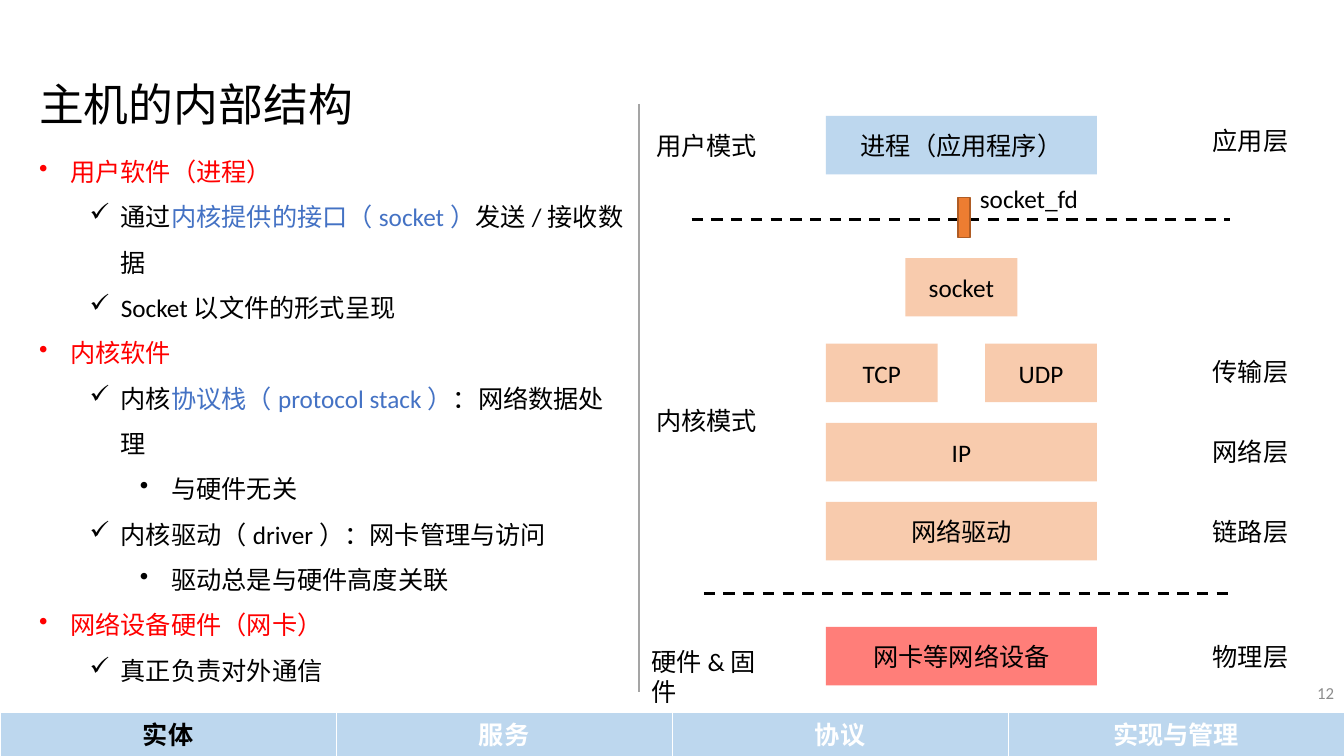
"""Build the slide on the internal structure of a host."""
from dataclasses import dataclass
from typing import Optional

from lxml import etree
from pptx import Presentation
from pptx.dml.color import RGBColor
from pptx.enum.dml import MSO_LINE
from pptx.enum.shapes import MSO_CONNECTOR, MSO_SHAPE
from pptx.enum.text import MSO_ANCHOR, MSO_AUTO_SIZE, PP_ALIGN
from pptx.oxml.ns import qn
from pptx.util import Inches, Pt

RECT = MSO_SHAPE.RECTANGLE
STRAIGHT = MSO_CONNECTOR.STRAIGHT
DASH = MSO_LINE.DASH
MIDDLE = MSO_ANCHOR.MIDDLE
GROW = MSO_AUTO_SIZE.SHAPE_TO_FIT_TEXT
LEFT, CENTER, RIGHT = PP_ALIGN.LEFT, PP_ALIGN.CENTER, PP_ALIGN.RIGHT

BLACK = RGBColor(0x00, 0x00, 0x00)
WHITE = RGBColor(0xFF, 0xFF, 0xFF)
RED = RGBColor(0xFF, 0x00, 0x00)
BLUE = RGBColor(0x44, 0x72, 0xC4)
PALE_BLUE = RGBColor(0xBD, 0xD7, 0xEE)
PEACH = RGBColor(0xF8, 0xCB, 0xAD)
CORAL = RGBColor(0xFF, 0x7E, 0x79)
ORANGE = RGBColor(0xED, 0x7D, 0x31)
BROWN = RGBColor(0xAF, 0x5C, 0x24)
GRAY = RGBColor(0xA5, 0xA5, 0xA5)
NUMBER_GRAY = RGBColor(0x8C, 0x8C, 0x8C)

LATIN = "Calibri"
CJK = "Noto Sans CJK SC"
SLIDE_W = 13.33
BOX_H = 0.58
WIDE, NARROW = 2.69, 1.11
STACK_X, STACK_Y, STACK_STEP = 8.19, 3.41, 0.785


@dataclass(frozen=True)
class Box:
    text: str
    x: float
    y: float
    w: float
    fill: RGBColor
    h: float = BOX_H
    line: Optional[RGBColor] = None
    line_pt: float = 0.5
    color: RGBColor = BLACK
    font: str = LATIN
    bold: bool = False


@dataclass(frozen=True)
class Label:
    text: str
    x: float
    y: float
    w: float
    h: float = 0.4
    size: float = 18
    color: RGBColor = BLACK
    font: str = LATIN
    wrap: bool = False
    align: PP_ALIGN = LEFT


@dataclass(frozen=True)
class Rule:
    x1: float
    y1: float
    x2: float
    y2: float
    color: RGBColor = BLACK
    width: float = 2
    dashed: bool = True


@dataclass(frozen=True)
class Bullet:
    level: int
    runs: tuple[tuple[str, RGBColor], ...]


TABS = ("实体", "服务", "协议", "实现与管理")
TAB_W = SLIDE_W / len(TABS)
TAB_BOXES = [
    Box(name, i * TAB_W, 7.07, TAB_W, PALE_BLUE, 0.44, WHITE,
        color=WHITE if i else BLACK, font=CJK, bold=True)
    for i, name in enumerate(TABS)
]
STACK_BOXES = [
    Box("进程（应用程序）", STACK_X, 1.15, WIDE, PALE_BLUE),
    Box("socket", 8.98, 2.56, NARROW, PEACH),
    Box("TCP", STACK_X, STACK_Y, NARROW, PEACH),
    Box("UDP", STACK_X + WIDE - NARROW, STACK_Y, NARROW, PEACH),
    Box("IP", STACK_X, STACK_Y + STACK_STEP, WIDE, PEACH),
    Box("网络驱动", STACK_X, STACK_Y + 2 * STACK_STEP, WIDE, PEACH),
    Box("网卡等网络设备", STACK_X, 6.22, WIDE, CORAL),
]
SOCKET_MARK = Box("", 9.5, 1.96, 0.12, ORANGE, 0.4, BROWN, 1)
RULES = [
    Rule(6.86, 2.18, 12.2, 2.18),
    Rule(6.98, 5.89, 12.2, 5.89),
    Rule(6.34, 1.03, 6.34, 6.87, GRAY, 1.5, False),
]
LAYERS = (("应用层", 1.19), ("传输层", 3.49), ("网络层", 4.28),
          ("链路层", 5.07), ("物理层", 6.31))
LABELS = [
    Label("12", 10.33, 6.67, 3, size=12, color=NUMBER_GRAY, wrap=True, align=RIGHT),
    Label("主机的内部结构", 0.29, 0.71, 4.96, 0.64, 32, font=CJK, wrap=True),
    Label("用户模式", 6.41, 1.24, 1.21),
    Label("内核模式", 6.41, 3.97, 1.21),
    Label("硬件&固件", 6.36, 6.36, 1.38, wrap=True),
    Label("socket_fd", 9.62, 1.77, 1.19),
    *(Label(name, 11.93, y, 0.96) for name, y in LAYERS),
]
BULLETS = [
    Bullet(0, (("用户软件（进程）", RED),)),
    Bullet(1, (("通过", BLACK), ("内核提供的接口（socket）", BLUE),
               ("发送/接收数据", BLACK))),
    Bullet(1, (("Socket以文件的形式呈现", BLACK),)),
    Bullet(0, (("内核软件", RED),)),
    Bullet(1, (("内核", BLACK), ("协议栈（protocol stack）", BLUE),
               ("：网络数据处理", BLACK))),
    Bullet(2, (("与硬件无关", BLACK),)),
    Bullet(1, (("内核驱动（driver）：网卡管理与访问", BLACK),)),
    Bullet(2, (("驱动总是与硬件高度关联", BLACK),)),
    Bullet(0, (("网络设备硬件（网卡）", RED),)),
    Bullet(1, (("真正负责对外通信", BLACK),)),
]
MARKS = ("•", "✓", "•")


def add_run(p, text: str, size: float, color: RGBColor, font: str = LATIN,
            bold: bool = False) -> None:
    r = p.add_run()
    r.text = text
    r.font.size = Pt(size)
    r.font.bold = bold
    r.font.color.rgb = color
    r.font.name = font
    etree.SubElement(r.font._element, qn("a:ea"), typeface=CJK)


def add_box(slide, box: Box) -> None:
    sp = slide.shapes.add_shape(RECT, Inches(box.x), Inches(box.y),
                                Inches(box.w), Inches(box.h))
    sp.shadow.inherit = False
    sp.fill.solid()
    sp.fill.fore_color.rgb = box.fill
    if box.line is None:
        sp.line.fill.background()
    else:
        sp.line.color.rgb = box.line
        sp.line.width = Pt(box.line_pt)
    if box.text:
        tf = sp.text_frame
        tf.vertical_anchor = MIDDLE
        p = tf.paragraphs[0]
        p.alignment = CENTER
        add_run(p, box.text, 18, box.color, box.font, box.bold)


def add_frame(slide, x: float, y: float, w: float, h: float, wrap: bool):
    sp = slide.shapes.add_textbox(Inches(x), Inches(y), Inches(w), Inches(h))
    tf = sp.text_frame
    tf.word_wrap = wrap
    tf.auto_size = GROW
    return tf


def add_label(slide, label: Label) -> None:
    tf = add_frame(slide, label.x, label.y, label.w, label.h, label.wrap)
    if label.align == RIGHT:
        tf.auto_size = MSO_AUTO_SIZE.NONE
        tf.vertical_anchor = MIDDLE
    p = tf.paragraphs[0]
    p.alignment = label.align
    add_run(p, label.text, label.size, label.color, label.font)


def add_rule(slide, rule: Rule) -> None:
    cx = slide.shapes.add_connector(STRAIGHT, Inches(rule.x1), Inches(rule.y1),
                                    Inches(rule.x2), Inches(rule.y2))
    cx.line.color.rgb = rule.color
    cx.line.width = Pt(rule.width)
    if rule.dashed:
        cx.line.dash_style = DASH
    etree.SubElement(cx._element.spPr, qn("a:effectLst"))


def add_bullets(slide, bullets: list[Bullet]) -> None:
    tf = add_frame(slide, 0.29, 1.35, 6.03, 4.59, True)
    for i, bullet in enumerate(bullets):
        p = tf.add_paragraph() if i else tf.paragraphs[0]
        p.level = bullet.level
        p.line_spacing = 1.5
        pPr = p._p.get_or_add_pPr()
        pPr.set("marL", str(Inches(0.31 + 0.5 * bullet.level)))
        pPr.set("indent", str(Inches(-0.31)))
        etree.SubElement(pPr, qn("a:buChar"), char=MARKS[bullet.level])
        for text, color in bullet.runs:
            add_run(p, text, 18, color)


def main() -> None:
    prs = Presentation()
    prs.slide_width, prs.slide_height = Inches(SLIDE_W), Inches(7.5)
    slide = prs.slides.add_slide(prs.slide_layouts[6])
    for box in TAB_BOXES + STACK_BOXES:
        add_box(slide, box)
    add_bullets(slide, BULLETS)
    for rule in RULES:
        add_rule(slide, rule)
    add_box(slide, SOCKET_MARK)
    for label in LABELS:
        add_label(slide, label)
    prs.save("out.pptx")


if __name__ == "__main__":
    main()
